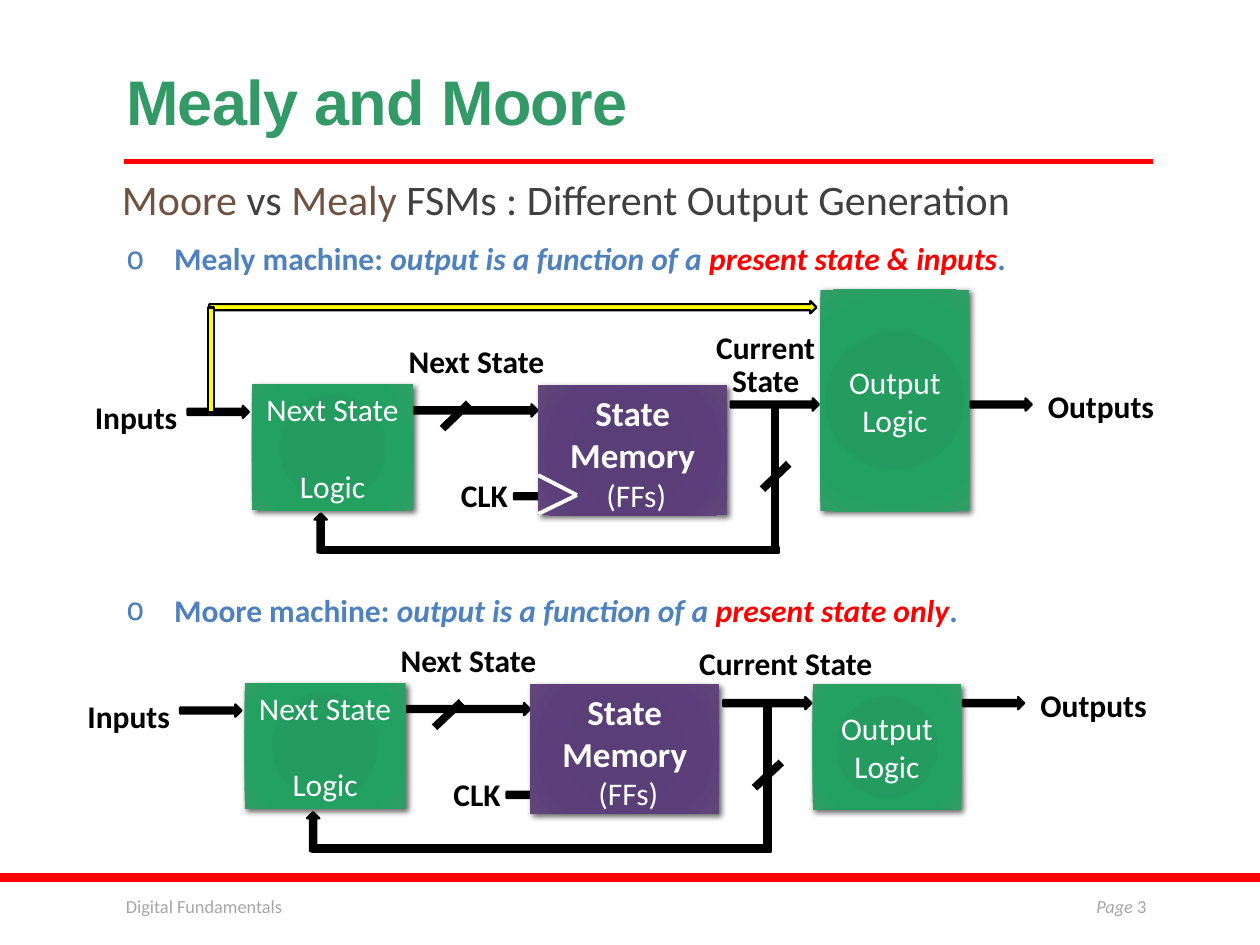
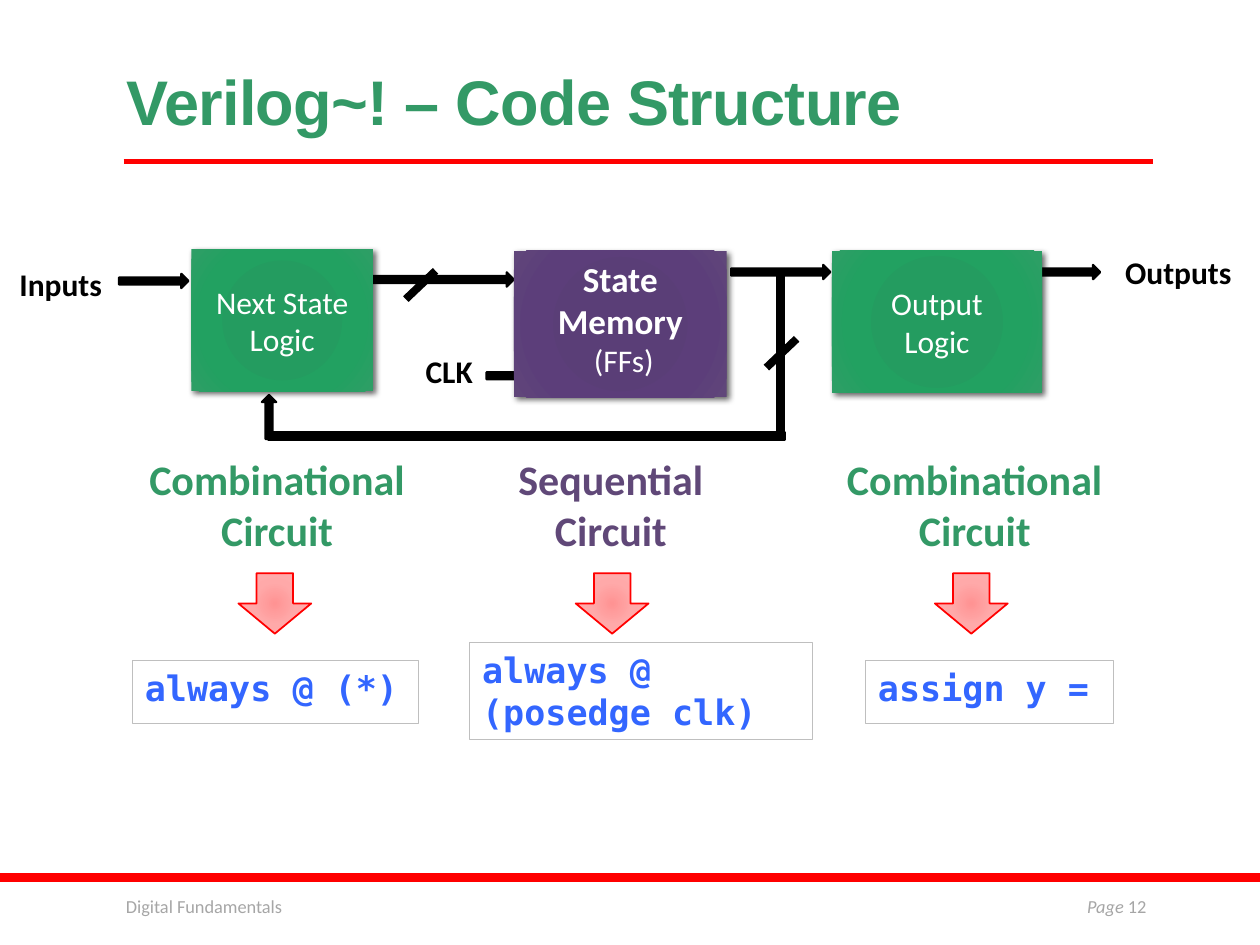
from pptx import Presentation, util as u
from pptx.dml.color import RGBColor
from pptx.enum import shapes, text
from pptx.oxml import parse_xml
from pptx.oxml.ns import nsdecls, qn

COLORS = {
    "title": "339966", "red": "FF0000", "black": "000000", "white": "FFFFFF",
    "brown": "705241", "dark": "404040", "blue": "4F81BD", "grey": "A6A6A6",
    "yellow": "FFFF00", "purple": "604878", "code": "3366FF", "frame": "BFBFBF",
}
GRADIENTS = {
    "logic": [(0, "219D5F"), (34, "249C60"), (70, "22A161"), (100, "2E9E66")],
    "memory": [(0, "593C77"), (34, "5A3E77"), (70, "5C3E7A"), (100, "60467A")],
    "pink": [(0, "FF9393"), (45, "FFA9A9"), (100, "FFB4B4")],
}
RECT = shapes.MSO_SHAPE.RECTANGLE
ARROW = shapes.MSO_SHAPE.RIGHT_ARROW
ALIGN = text.PP_ALIGN
ANCHOR = text.MSO_ANCHOR

# Content
FOOTER = "Digital Fundamentals"
TITLES = [("Mealy and Moore", 3), ("Verilog~! – Code Structure", 12)]
HEADING = [("Moore ", {"color": "brown"}), "vs ", ("Mealy", {"color": "brown"}),
           " FSMs : Different Output Generation"]
BULLETS = [  # top, machine, what its output depends on
    (1.85, "Mealy machine: ", "present state & inputs"),
    (4.64, "Moore machine: ", "present state only"),
]
NEXT_LABEL = ("Next State", (3.03, 2.7, 1.5, 0.37))
MEALY = dict(output_height=1.76, bypass=True, clock_mark=True, labels=[
    NEXT_LABEL, ("Current State", (5.42, 2.59, 1.31, 0.63))])
MOORE = dict(shift=(-0.06, 2.37), labels=[
    NEXT_LABEL, ("Current State", (5.46, 2.73, 1.67, 0.37))])
CODE_VIEW = dict(shift=(-0.73, -1.46), scale=1.127, output_width=1.48,
                 exit_shift=0.21, logic_gap=0)
COLUMNS = [  # kind, color, caption left and width, arrow left, code, code box
    ("Combinational", "title", 0.67, 3.06, 1.94, ["always @ (*)"],
     (1.05, 5.24, 2.27, 0.5)),
    ("Sequential", "purple", 3.73, 2.24, 4.62, ["always @", "(posedge clk)"],
     (3.73, 5.1, 2.72, 0.77)),
    ("Combinational", "title", 6.38, 2.71, 7.47, ["assign y ="],
     (6.87, 5.24, 1.97, 0.5)),
]


def inches(value):
    return u.Cm(round(value * 2.54, 2))


def rgb(name):
    return RGBColor.from_string(COLORS[name])


def write(shape, lines, size=18, color="black", font="Calibri", bold=False,
          italic=False, align=ALIGN.LEFT, anchor=ANCHOR.TOP, spacing=None,
          before=0, after=0, gap=0, wrap=True):
    """Fill a shape; a line is a list of spans, each a string or (string, format)."""
    frame = shape.text_frame
    frame.word_wrap = wrap
    frame.vertical_anchor = anchor
    for number, line in enumerate(lines):
        para = frame.add_paragraph() if number else frame.paragraphs[0]
        para.alignment = align
        para.space_before = u.Pt(gap if number else before)
        para.space_after = u.Pt(after)
        if spacing:
            para.line_spacing = spacing
        for part in [line] if isinstance(line, str) else line:
            words, extra = (part, {}) if isinstance(part, str) else part
            look = dict(size=size, color=color, bold=bold, italic=italic) | extra
            span = para.add_run()
            span.text = words
            span.font.name = font
            span.font.size = u.Pt(look["size"])
            span.font.bold = look["bold"]
            span.font.italic = look["italic"]
            span.font.color.rgb = rgb(look["color"])
    return shape


def add_box(page, place):
    return page.shapes.add_textbox(*map(inches, place))


def add_shape(page, kind, place, fill=None, line=None, width=1.25, turn=0, shadow=False):
    shape = page.shapes.add_shape(kind, *map(inches, place))
    shape.rotation = turn
    if fill in GRADIENTS:
        shape.fill.gradient()
        stops = "".join(f'<a:gs pos="{pos * 1000}"><a:srgbClr val="{value}"/></a:gs>'
                        for pos, value in GRADIENTS[fill])
        old = shape._element.spPr.find(qn("a:gradFill"))
        old.getparent().replace(old, parse_xml(
            f'<a:gradFill {nsdecls("a")} rotWithShape="1"><a:gsLst>{stops}</a:gsLst>'
            '<a:path path="circle"><a:fillToRect l="100000" t="100000" r="100000" '
            'b="100000"/></a:path></a:gradFill>'))
    elif fill:
        shape.fill.solid()
        shape.fill.fore_color.rgb = rgb(fill)
    else:
        shape.fill.background()
    if line:
        shape.line.color.rgb = rgb(line)
        shape.line.width = u.Pt(width)
    else:
        shape.line.fill.background()
    shape.shadow.inherit = False
    if shadow:
        shape._element.spPr.find(qn("a:effectLst")).append(parse_xml(
            f'<a:outerShdw {nsdecls("a")} blurRad="44450" dist="25400" dir="2700000" '
            'rotWithShape="0"><a:srgbClr val="000000"><a:alpha val="60000"/>'
            '</a:srgbClr></a:outerShdw>'))
    return shape


def add_line(page, start, end, color, width):
    line = page.shapes.add_connector(
        shapes.MSO_CONNECTOR.STRAIGHT, *map(inches, (*start, *end)))
    line.line.color.rgb = rgb(color)
    line.line.width = u.Pt(width)
    line._element.spPr.append(parse_xml(f'<a:effectLst {nsdecls("a")}/>'))


def add_page(deck, title, number):
    """Page with title, red rule, red band and footer."""
    page = deck.slides.add_slide(deck.slide_layouts[5])
    head = page.shapes.title
    head.left, head.top, head.width, head.height = map(inches, (0.9, 0.31, 8.25, 0.84))
    write(head, [title], size=36, color="title", font="Arial", bold=True,
          anchor=ANCHOR.BOTTOM, spacing=0.85)
    head.text_frame.paragraphs[0].runs[0].font._element.set("spc", "-40")
    add_shape(page, RECT, (0, 6.93, 10, 0.07), fill="red")
    add_line(page, (0.98, 1.28), (9.15, 1.28), "red", 3)
    write(add_box(page, (0.9, 7.06, 3.96, 0.4)), [FOOTER], size=10.5, color="grey")
    write(add_box(page, (8.12, 7.06, 1.08, 0.4)),
          [[("Page ", {"italic": True}), str(number)]],
          size=10.5, color="grey", align=ALIGN.RIGHT)
    return page


def add_machine(page, shift=(0, 0), scale=1, output_width=1.18, output_height=1,
                exit_shift=0, logic_gap=22, bypass=False, clock_mark=False, labels=()):
    """State machine diagram, laid out on the Mealy grid, then scaled and moved."""
    base_x, base_y = 2, 3.05  # corner of the next-state block

    def point(x, y):
        return (base_x + shift[0] * 1 + (x - base_x) * scale + (0.25 if scale > 1 else 0),
                base_y + shift[1] + (y - base_y) * scale + (0.39 if scale > 1 else 0))

    def place(left, top, width, height):
        return (*point(left, top), width * scale, height * scale)

    def wire(kind, spot, turn=0, fill="black"):
        add_shape(page, kind, place(*spot), fill, "black", turn=turn)

    def block(spot, fill, lines, **look):
        shape = add_shape(page, RECT, place(*spot), fill, shadow=True)
        write(shape, lines, color="white", align=ALIGN.CENTER, **look)

    # Signals
    for left, top, width in [(1.49, 3.22, 0.49), (3.17, 3.21, 1.1), (4.08, 3.89, 0.5),
                             (5.8, 3.16, 0.7), (7.7 + exit_shift, 3.16, 0.49)]:
        wire(ARROW, (left, top, width, 0.1))
    # Feedback path
    wire(RECT, (5.58, 3.78, 1.14, 0.05), turn=90)
    wire(RECT, (2.54, 4.34, 3.64, 0.05))
    wire(ARROW, (2.39, 4.18, 0.31, 0.1), turn=270)
    # Bus marks
    for x, y in [(3.51, 3.4), (6.05, 3.88)]:
        add_line(page, point(x, y), point(x + 0.21, y - 0.2), "black", 4.5)
    # Blocks
    block((2, 3.05, 1.28, 1), "logic", ["Next State", "Logic"],
          anchor=ANCHOR.MIDDLE, gap=logic_gap)
    block((4.27, 3.06, 1.5, 1.03), "memory",
          [[("State Memory", {"size": 20, "bold": True})], " (FFs)"])
    block((6.51, 4.06 - output_height, output_width, output_height), "logic",
          ["Output", "Logic"], anchor=ANCHOR.MIDDLE)
    if clock_mark:
        for y in (3.77, 4.08):
            add_line(page, point(4.27, y), point(4.58, 3.93), "white", 2.25)
    # Labels
    ends = [("Inputs", (0.33, 3.15, 1.5, 0.37)),
            ("Outputs", (7.99 + exit_shift, 3.06, 1.5, 0.37))]
    for label, spot in [*ends, *labels]:
        write(add_box(page, place(*spot)), [label], bold=True, align=ALIGN.CENTER,
              spacing=u.Pt(19))
    write(add_box(page, place(3.56, 3.73, 0.58, 0.4)), ["CLK"], bold=True, wrap=False)
    if bypass:
        wire(ARROW, (1.66, 2.39, 4.82, 0.1), fill="yellow")
        wire(RECT, (1.26, 2.83, 0.83, 0.05), turn=90, fill="yellow")


deck = Presentation()
deck.slide_width, deck.slide_height = u.Cm(25.4), u.Cm(19.05)
compare, structure = [add_page(deck, *title) for title in TITLES]

# Mealy and Moore
heading = write(add_box(compare, (0.97, 1.41, 8.23, 0.44)), [HEADING], size=24,
                color="dark", spacing=0.8, before=9, after=1.5)
heading.text_frame.margin_left = heading.text_frame.margin_right = 0
for top, machine, source in BULLETS:
    bullet = write(add_box(compare, (0.9, top, 8.9, 0.4)),
                   [[(machine, {"italic": False}), "output is a function of a ",
                     (source, {"color": "red"}), (".", {"italic": False})]],
                   color="blue", bold=True, italic=True, align=ALIGN.JUSTIFY, after=6)
    props = bullet.text_frame.paragraphs[0]._p.get_or_add_pPr()
    props.set("marL", str(inches(0.38)))
    props.set("indent", str(-inches(0.38)))
    for tag in ('buFont typeface="DejaVu Sans Mono"', 'buChar char="o"'):
        name, attribute = tag.split(" ", 1)
        props.append(parse_xml(f'<a:{name} {nsdecls("a")} {attribute}/>'))
add_machine(compare, **MEALY)
add_machine(compare, **MOORE)

# Code structure
add_machine(structure, **CODE_VIEW)
for kind, color, left, width, arrow_left, code, code_place in COLUMNS:
    write(add_box(structure, (left, 3.55, width, 0.91)), [kind, "Circuit"], size=24,
          color=color, bold=True, align=ALIGN.CENTER)
    add_shape(structure, ARROW, (arrow_left, 4.5, 0.48, 0.58), "pink", "red", 1, turn=90)
    write(add_shape(structure, RECT, code_place, line="frame", width=0.75), code,
          size=20, color="code", font="DejaVu Sans Mono", bold=True)

deck.save("out.pptx")
